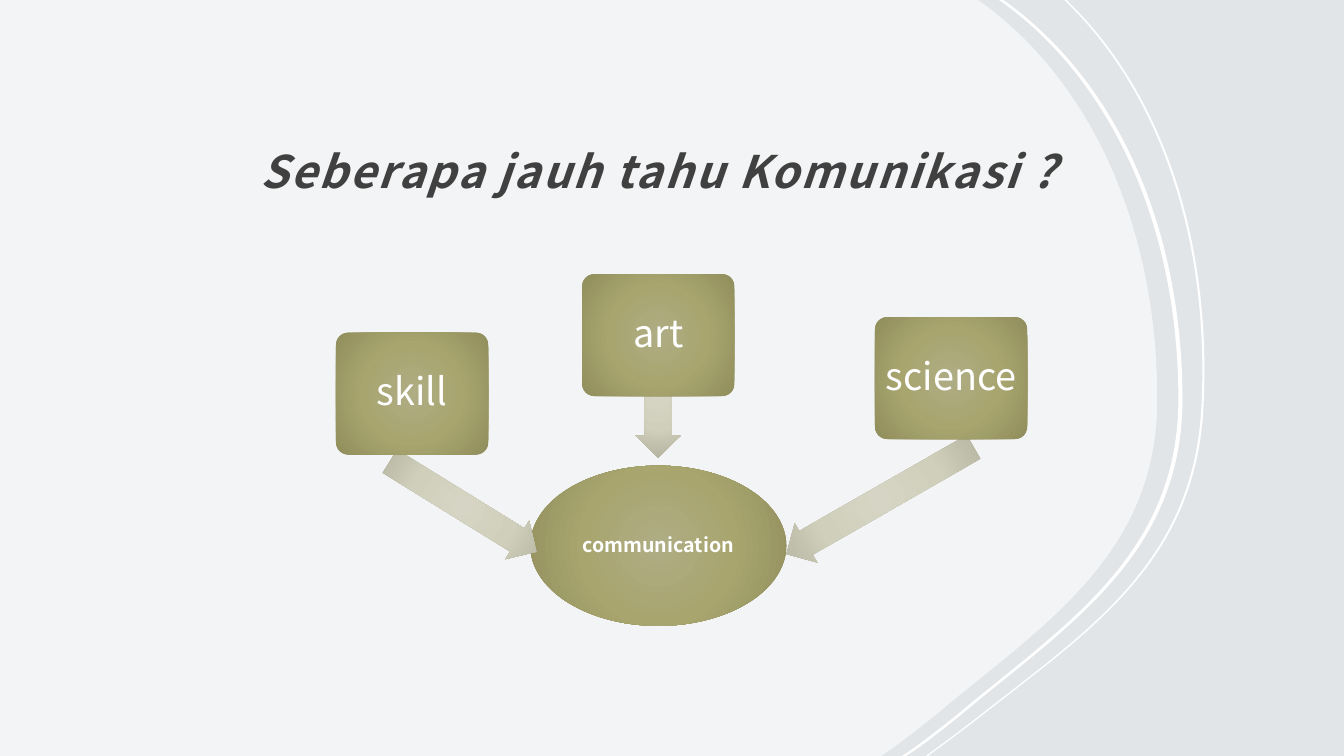
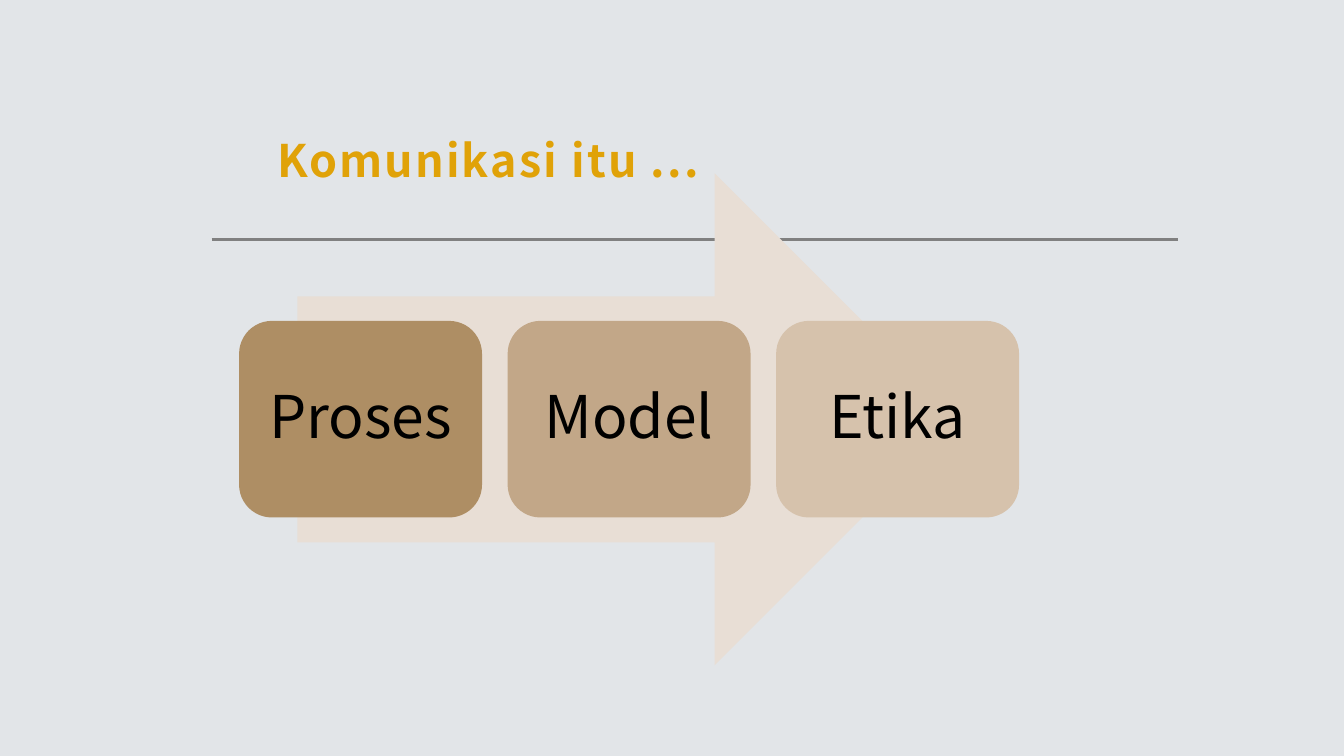
"""Build two slides introducing communication: its three sources and its three aspects."""

from dataclasses import dataclass
from typing import NamedTuple

from lxml import etree
from pptx import Presentation
from pptx.dml.color import RGBColor
from pptx.enum.shapes import MSO_CONNECTOR, MSO_SHAPE
from pptx.enum.text import MSO_ANCHOR, MSO_AUTO_SIZE, PP_ALIGN
from pptx.oxml.ns import qn
from pptx.shapes.autoshape import Shape
from pptx.slide import Slide
from pptx.text.text import TextFrame
from pptx.util import Pt

ELLIPSE = MSO_SHAPE.OVAL
ROUNDED = MSO_SHAPE.ROUNDED_RECTANGLE
LEFT_ARROW = MSO_SHAPE.LEFT_ARROW
RIGHT_ARROW = MSO_SHAPE.RIGHT_ARROW
STRAIGHT = MSO_CONNECTOR.STRAIGHT
MIDDLE, BOTTOM = MSO_ANCHOR.MIDDLE, MSO_ANCHOR.BOTTOM
LEFT, CENTER = PP_ALIGN.LEFT, PP_ALIGN.CENTER
NO_AUTOFIT = MSO_AUTO_SIZE.NONE
TITLE_ONLY = 5

Point = tuple[float, float]
Step = tuple[Point, ...]
Gradient = tuple[str, str, str]


@dataclass(frozen=True)
class Theme:
    """Colours, font and type sizes shared by the slides."""

    font: str = "Noto Sans CJK JP"
    background: str = "E2E5E8"
    white: str = "FFFFFF"
    black: str = "000000"
    dark: str = "404040"
    gold: str = "E0A208"
    rule: str = "808080"
    pale_arrow: str = "E8DED5"
    olive: Gradient = ("AFAD84", "A8A56F", "908E5C")
    pale_olive: Gradient = ("D6D5C5", "D0CFBB", "B2B19D")
    title_size: float = 32
    aspect_size: float = 42
    source_size: float = 27
    hub_size: float = 14


THEME = Theme()


class Box(NamedTuple):
    """A rectangle in points."""

    left: float
    top: float
    width: float
    height: float


class TextStyle(NamedTuple):
    """The look of one run."""

    size: float
    color: str
    bold: bool = False
    italic: bool = False


class Source(NamedTuple):
    """A source of communication with the arrow leaving it."""

    label: str
    left: float
    top: float
    arrow: Box
    rotation: float


class Aspect(NamedTuple):
    """An aspect of communication and its fill."""

    label: str
    color: str


PANEL_EDGE: tuple[Step, ...] = (
    ((698.4, 0),),
    ((700.6, 1.4),),
    ((781.2, 59.8), (826.6, 164.9), (826.6, 285.1)),
    ((826.6, 391), (753.1, 441.4), (679, 501.8)),
    ((665.3, 513.4), (651.6, 524.2), (637.9, 534.2)),
    ((629.3, 540),),
)
THIN_EDGE: tuple[Step, ...] = (
    ((761.8, 0),),
    ((763.9, 2.2),),
    ((830.9, 67.7), (865.4, 172.8), (859.7, 289.4)),
    ((854.6, 399.6), (781.2, 448.6), (704.9, 508.3)),
    ((691.2, 519.1), (677.5, 529.2), (663.8, 539.3)),
    ((663.1, 540),),
)
SOURCES = (
    Source("skill", 240, 237.6, Box(269.3, 345.6, 123.1, 32.4), 211.7),
    Source("art", 415.8, 195.8, Box(426.2, 267.1, 87.8, 32.4), 270),
    Source("science", 625, 226.5, Box(551.5, 341.3, 154.1, 32.4), 330.2),
)
ASPECTS = (
    Aspect("Proses", "AE8E64"),
    Aspect("Model", "C2A788"),
    Aspect("Etika", "D6C2AC"),
)


def rgb(color: str) -> RGBColor:
    """Turn a hex string into a colour."""
    return RGBColor.from_string(color)


def shifted(edge: tuple[Step, ...], offset: float) -> list[Step]:
    """Move an edge sideways."""
    return [tuple((x + offset, y) for x, y in step) for step in edge]


def reversed_edge(edge: list[Step]) -> list[Step]:
    """Walk an edge from its end back to its start."""
    steps = [(edge[-1][-1],)]
    for before, step in zip(edge[-2::-1], edge[:0:-1]):
        steps.append((*step[-2::-1], before[-1]))
    return steps


def set_gradient(shape: Shape, colors: Gradient) -> None:
    """Fill a shape with a three-stop radial gradient."""
    shape.fill.gradient()
    gradient = shape.element.spPr.find(qn("a:gradFill"))
    for child in list(gradient):
        gradient.remove(child)
    stops = etree.SubElement(gradient, qn("a:gsLst"))
    for position, color in zip((0, 50000, 100000), colors):
        stop = etree.SubElement(stops, qn("a:gs"), pos=str(position))
        etree.SubElement(stop, qn("a:srgbClr"), val=color)
    circle = etree.SubElement(gradient, qn("a:path"), path="circle")
    sides = dict.fromkeys("ltrb", "100000")
    etree.SubElement(circle, qn("a:fillToRect"), **sides)


def paint(shape: Shape, fill: str | Gradient) -> None:
    """Give a shape a plain or gradient fill without line or shadow."""
    shape.shadow.inherit = False
    shape.line.fill.background()
    if isinstance(fill, str):
        shape.fill.solid()
        shape.fill.fore_color.rgb = rgb(fill)
    else:
        set_gradient(shape, fill)


def add_run(frame: TextFrame, text: str, style: TextStyle) -> None:
    """Add one formatted run to the first paragraph."""
    run = frame.paragraphs[0].add_run()
    run.text = text
    run.font.name = THEME.font
    run.font.size = Pt(style.size)
    run.font.color.rgb = rgb(style.color)
    run.font.bold = style.bold
    run.font.italic = style.italic


def add_block(slide: Slide, kind: MSO_SHAPE, box: Box, fill: str | Gradient) -> Shape:
    """Draw a preset shape."""
    shape = slide.shapes.add_shape(kind, *map(Pt, box))
    paint(shape, fill)
    return shape


def add_label(shape: Shape, text: str, style: TextStyle) -> None:
    """Centre a label inside a shape."""
    frame = shape.text_frame
    frame.word_wrap = False
    frame.vertical_anchor = MIDDLE
    frame.margin_left = frame.margin_right = Pt(0)
    frame.margin_top = frame.margin_bottom = Pt(0)
    frame.paragraphs[0].alignment = CENTER
    frame.paragraphs[0].line_spacing = 0.9
    add_run(frame, text, style)


def add_outline(slide: Slide, steps: list[Step], color: str) -> Shape:
    """Draw a closed outline of straight and cubic steps."""
    anchors = [(Pt(step[-1][0]), Pt(step[-1][1])) for step in steps]
    builder = slide.shapes.build_freeform(*anchors[0], scale=1.0)
    builder.add_line_segments(anchors[1:], close=False)
    shape = builder.convert_to_shape()
    outline = shape.element.spPr.find(".//" + qn("a:path"))
    for line, step in zip(outline.findall(qn("a:lnTo")), steps[1:]):
        if len(step) == 3:
            curve = etree.Element(qn("a:cubicBezTo"))
            for x, y in step:
                place = {"x": str(Pt(x) - shape.left), "y": str(Pt(y) - shape.top)}
                etree.SubElement(curve, qn("a:pt"), place)
            outline.replace(line, curve)
    etree.SubElement(outline, qn("a:close"))
    paint(shape, color)
    return shape


def add_curved_panel(slide: Slide) -> None:
    """Draw the translucent panel and the two white bands beside it."""
    panel = add_outline(slide, [((0, 0),), *PANEL_EDGE, ((0, 540),)], THEME.white)
    color = panel.element.spPr.find(".//" + qn("a:srgbClr"))
    etree.SubElement(color, qn("a:alpha"), val="60000")
    for edge, outer, inner in ((THIN_EDGE, 0, -1.5), (PANEL_EDGE, 18, 15.1)):
        band = shifted(edge, outer) + reversed_edge(shifted(edge, inner))
        add_outline(slide, band, THEME.white)


def add_rule(slide: Slide) -> None:
    """Draw the line under the title."""
    rule = slide.shapes.add_connector(STRAIGHT, Pt(151.2), Pt(171.1), Pt(841.7), Pt(171.1))
    rule.line.color.rgb = rgb(THEME.rule)
    rule.line.width = Pt(2)
    etree.SubElement(rule.element.spPr, qn("a:effectLst"))


def set_title(slide: Slide, text: str, box: Box, style: TextStyle) -> None:
    """Place the title in front of the backdrop and write its text."""
    title = slide.shapes.title
    slide.shapes.element.append(title.element)
    title.left, title.top, title.width, title.height = map(Pt, box)
    frame = title.text_frame
    frame.auto_size = NO_AUTOFIT
    frame.word_wrap = True
    frame.vertical_anchor = BOTTOM
    frame.margin_left = frame.margin_right = frame.margin_top = Pt(8.64)
    frame.margin_bottom = Pt(7.2)
    frame.paragraphs[0].alignment = LEFT
    frame.paragraphs[0].line_spacing = 1.3
    add_run(frame, text, style)
    properties = title.element.find(".//" + qn("a:pPr"))
    properties.set("marL", str(Pt(38.16)))
    properties.set("indent", "0")
    title.element.find(".//" + qn("a:rPr")).set("spc", "150")


def build_sources_slide(slide: Slide) -> None:
    """Show three sources pointing at communication."""
    add_curved_panel(slide)
    title_style = TextStyle(THEME.title_size, THEME.dark, bold=True, italic=True)
    set_title(slide, "Seberapa jauh tahu Komunikasi ?", Box(139.4, 73.1, 699.1, 74.9), title_style)
    hub = add_block(slide, ELLIPSE, Box(378.8, 332.6, 182.9, 114.5), THEME.olive)
    add_label(hub, "communication", TextStyle(THEME.hub_size, THEME.white, bold=True))
    for source in SOURCES:
        arrow = add_block(slide, LEFT_ARROW, source.arrow, THEME.pale_olive)
        arrow.adjustments[0] = 0.6
        arrow.rotation = source.rotation
        box = Box(source.left, source.top, 108.8, 87.1)
        card = add_block(slide, ROUNDED, box, THEME.olive)
        card.adjustments[0] = 0.1
        add_label(card, source.label, TextStyle(THEME.source_size, THEME.white))


def build_aspects_slide(slide: Slide) -> None:
    """Show three aspects along a large arrow."""
    add_rule(slide)
    title_style = TextStyle(THEME.title_size, THEME.gold, bold=True)
    set_title(slide, "Komunikasi itu ...", Box(151.2, 34.6, 690.5, 105.8), title_style)
    add_block(slide, RIGHT_ARROW, Box(212.4, 123.8, 473.8, 351.4), THEME.pale_arrow)
    for index, aspect in enumerate(ASPECTS):
        box = Box(170.8 + index * 191.8, 229.2, 173.5, 140.4)
        card = add_block(slide, ROUNDED, box, aspect.color)
        add_label(card, aspect.label, TextStyle(THEME.aspect_size, THEME.black))


def main() -> None:
    """Build and save the presentation."""
    presentation = Presentation()
    presentation.slide_width, presentation.slide_height = Pt(960), Pt(540)
    background = presentation.slide_master.background.fill
    background.solid()
    background.fore_color.rgb = rgb(THEME.background)
    layout = presentation.slide_layouts[TITLE_ONLY]
    for build in (build_sources_slide, build_aspects_slide):
        build(presentation.slides.add_slide(layout))
    presentation.save("out.pptx")


if __name__ == "__main__":
    main()
